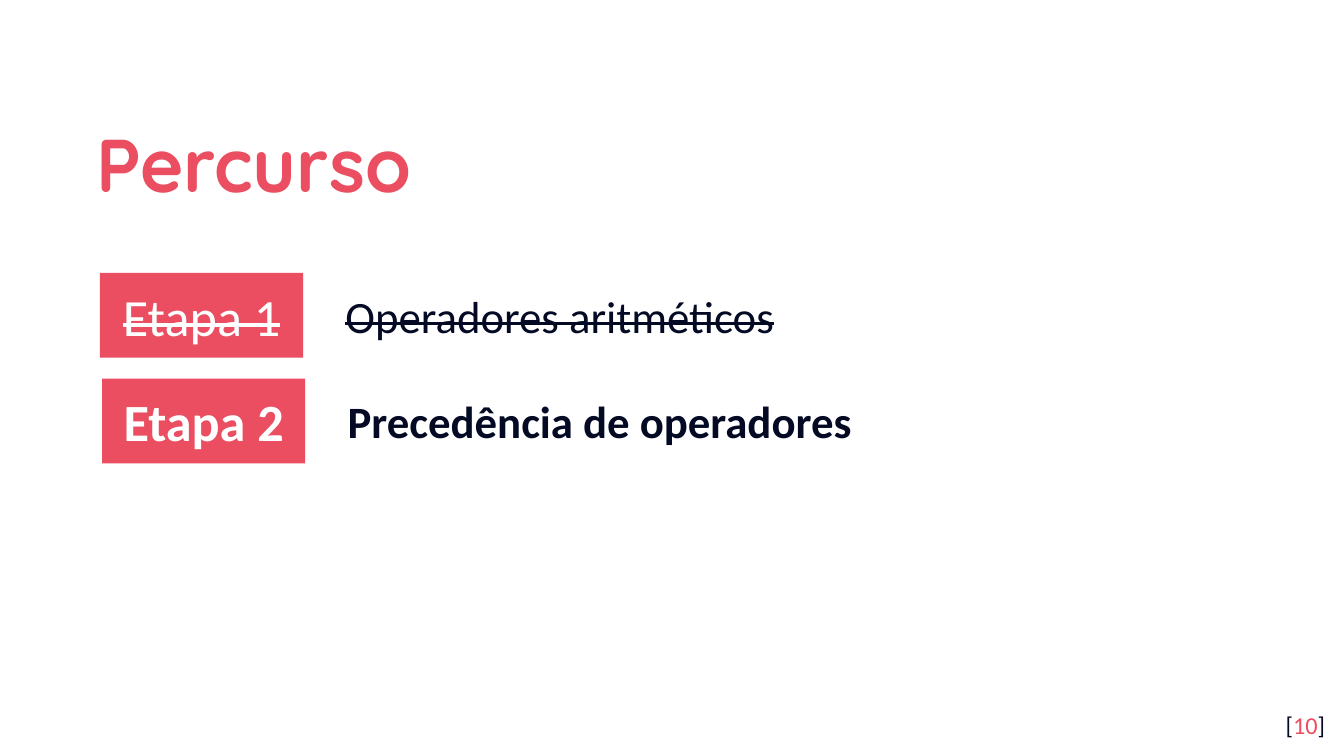
from pptx import Presentation
from pptx.dml.color import RGBColor
from pptx.enum.shapes import MSO_SHAPE as Shape
from pptx.enum.text import MSO_ANCHOR as Anchor, PP_ALIGN as Align
from pptx.util import Cm, Pt

CORAL = RGBColor(0xEA, 0x4E, 0x60)
NAVY = RGBColor(0x04, 0x0A, 0x24)
WHITE = RGBColor(0xFF, 0xFF, 0xFF)


class Deck:
    title_font = "Quicksand"
    body_font = "Calibri"
    inset = 0.25

    def __init__(self, width, height):
        self.prs = Presentation()
        self.prs.slide_width, self.prs.slide_height = Cm(width), Cm(height)
        self.slide = None

    def add_slide(self):
        self.slide = self.prs.slides.add_slide(self.prs.slide_layouts[6])
        fill = self.slide.background.fill
        fill.solid()
        fill.fore_color.rgb = WHITE

    def frame(self, sp, anchor, align, pad):
        tf = sp.text_frame
        tf.word_wrap = True
        tf.vertical_anchor = anchor
        tf.margin_left = tf.margin_right = Cm(self.inset)
        tf.margin_top = tf.margin_bottom = Cm(pad)
        p = tf.paragraphs[0]
        p.alignment = align
        return p

    def run(self, p, text, size, color, font=body_font, bold=False, struck=False):
        r = p.add_run()
        r.text = text
        r.font.size, r.font.name, r.font.bold = Pt(size), font, bold
        r.font.color.rgb = color
        if struck:
            r.font._element.set("strike", "sngStrike")

    def text(self, box, anchor=Anchor.TOP, align=Align.LEFT, pad=inset):
        sp = self.slide.shapes.add_textbox(*map(Cm, box))
        return self.frame(sp, anchor, align, pad)

    def title(self, box, text):
        p = self.text(box, Anchor.MIDDLE)
        p.line_spacing = 1.15
        self.run(p, text, 40, CORAL, self.title_font, bold=True)

    def page_number(self, box, number):
        p = self.text(box, align=Align.RIGHT)
        for text, color in (("[", NAVY), (number, CORAL), ("]", NAVY)):
            self.run(p, text, 13, color)

    def label(self, box, text, **style):
        sp = self.slide.shapes.add_shape(Shape.RECTANGLE, *map(Cm, box))
        sp.shadow.inherit = False
        sp.fill.solid()
        sp.fill.fore_color.rgb = CORAL
        sp.line.fill.background()
        p = self.frame(sp, Anchor.MIDDLE, Align.CENTER, self.inset)
        self.run(p, text, 28, WHITE, **style)

    def step(self, left, top, name, topic, **style):
        self.label((left, top, 3.84, 1.6), name, **style)
        p = self.text((left + 4.39, top + 0.16, 17.15, 1.27), pad=0.13)
        self.run(p, topic, 24, NAVY, **style)


def main():
    deck = Deck(25.4, 14.29)
    deck.add_slide()
    deck.title((1.57, 1.78, 20.57, 2.34), "Percurso")
    deck.page_number((23.77, 13.18, 1.52, 1.09), "10")
    steps = (
        ("Etapa 1", "Operadores aritméticos", {"struck": True}),
        ("Etapa 2", "Precedência de operadores", {"bold": True}),
    )
    for i, (name, topic, style) in enumerate(steps):
        deck.step(1.89 + 0.04 * i, 5.16 + 2 * i, name, topic, **style)
    deck.prs.save("out.pptx")


if __name__ == "__main__":
    main()
